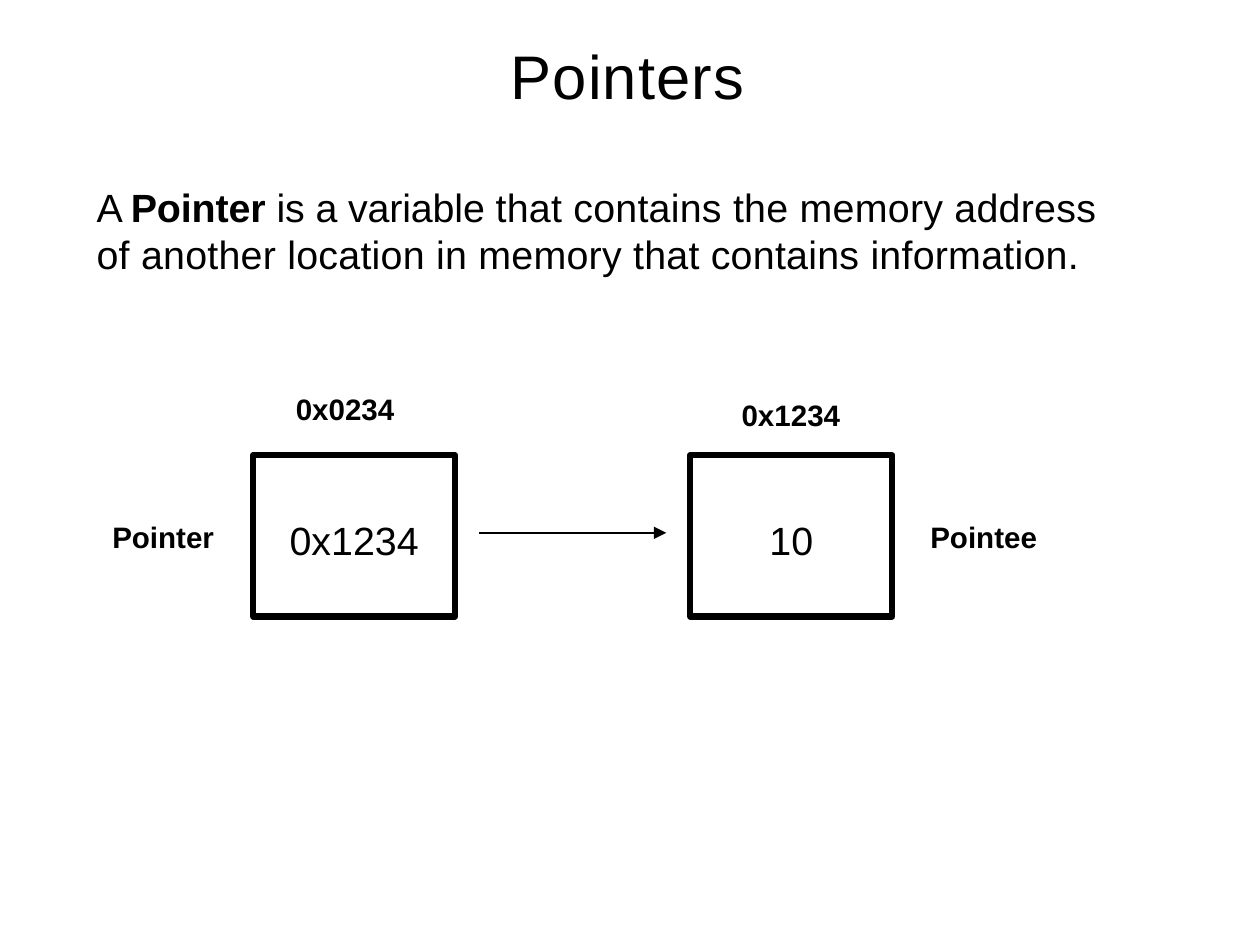
from lxml import etree
from pptx import Presentation
from pptx.dml.color import RGBColor
from pptx.enum import shapes, text
from pptx.oxml.ns import qn
from pptx.util import Cm, Pt

BLACK = RGBColor(0, 0, 0)


def set_text(sp, words, size, spacing, top_inset, bold=False):
    """Fill a shape with text; spacing is in hundredths of a point."""
    tf = sp.text_frame
    tf.text = words
    tf.word_wrap = True
    tf.margin_left = tf.margin_right = tf.margin_bottom = 0
    tf.margin_top = Cm(top_inset)
    for r in tf.paragraphs[0].runs:
        format_run(r, size, spacing, bold)
    return tf


def format_run(r, size, spacing, bold):
    r.font.name = "Arial"
    r.font.size = Pt(size)
    r.font.bold = bold
    r.font.color.rgb = BLACK
    r._r.get_or_add_rPr().set("spc", str(spacing))


prs = Presentation()
prs.slide_width, prs.slide_height = Cm(36.12), Cm(27.1)
s = prs.slides.add_slide(prs.slide_layouts[5])

# Title
title = s.shapes.title
title.left, title.top, title.width, title.height = Cm(14.63), Cm(1.05), Cm(6.83), Cm(2.18)
tf = set_text(title, "Pointers", 50, 100, 0)
tf.vertical_anchor = text.MSO_ANCHOR.MIDDLE
tf.paragraphs[0].alignment = text.PP_ALIGN.LEFT

# Definition
definition = s.shapes.add_textbox(Cm(2.77), Cm(5.1), Cm(29.6), Cm(2.77))
tf = set_text(definition, "A ", 32, -70, 0.16)
p = tf.paragraphs[0]
p.line_spacing = Pt(38)
for words, spacing, bold in [
    ("Pointer ", -10, True),
    ("is a variable ", -15, False),
    ("that contains the memory address of another location in memory "
     "that contains information.", 20, False),
]:
    r = p.add_run()
    r.text = words
    format_run(r, 32, spacing, bold)

# Memory cells
for left, value in [(7.26, "0x1234"), (19.79, "10")]:
    cell = s.shapes.add_shape(shapes.MSO_SHAPE.RECTANGLE, Cm(left), Cm(13.06), Cm(5.79), Cm(4.62))
    cell.shadow.inherit = False
    cell.fill.background()
    cell.line.color.rgb = BLACK
    cell.line.width = Pt(5)
    etree.SubElement(cell.line._get_or_add_ln(), qn("a:round"))
    tf = set_text(cell, value, 32, 0, 0.23)
    tf.vertical_anchor = text.MSO_ANCHOR.MIDDLE
    tf.paragraphs[0].alignment = text.PP_ALIGN.CENTER

# Addresses above the cells and names beside them
for left, top, words in [
    (8.48, 11.15, "0x0234"),
    (21.26, 11.33, "0x1234"),
    (3.22, 14.81, "Pointer"),
    (26.67, 14.81, "Pointee"),
]:
    label = s.shapes.add_textbox(Cm(left), Cm(top), Cm(3.2), Cm(1.09))
    set_text(label, words, 24, 0, 0.06, bold=True)

# Arrow from pointer to pointee
arrow = s.shapes.add_connector(shapes.MSO_CONNECTOR.STRAIGHT, Cm(13.74), Cm(15.28), Cm(19.1), Cm(15.28))
arrow.line.color.rgb = BLACK
arrow.line.width = Pt(2)
etree.SubElement(arrow.line._get_or_add_ln(), qn("a:tailEnd"), type="triangle", w="lg", len="lg")
etree.SubElement(arrow._element.spPr, qn("a:effectLst"))

prs.save("out.pptx")
